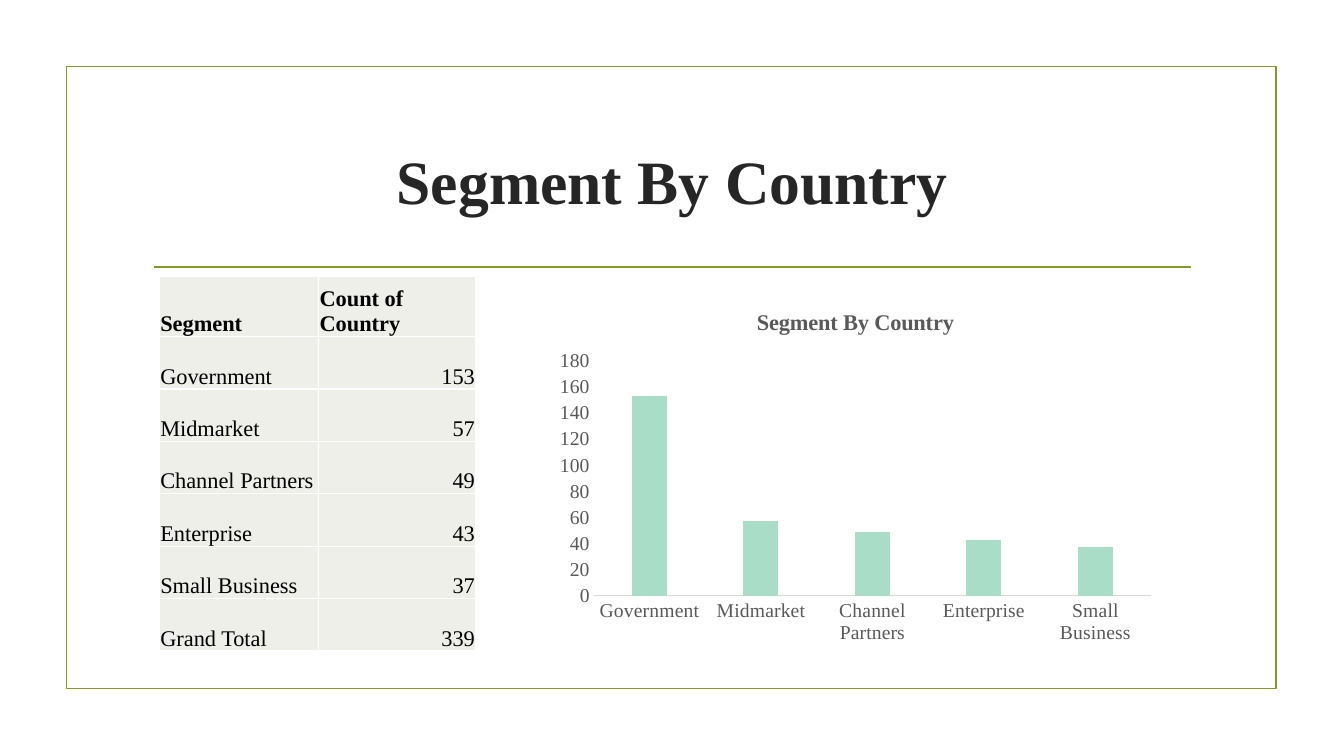
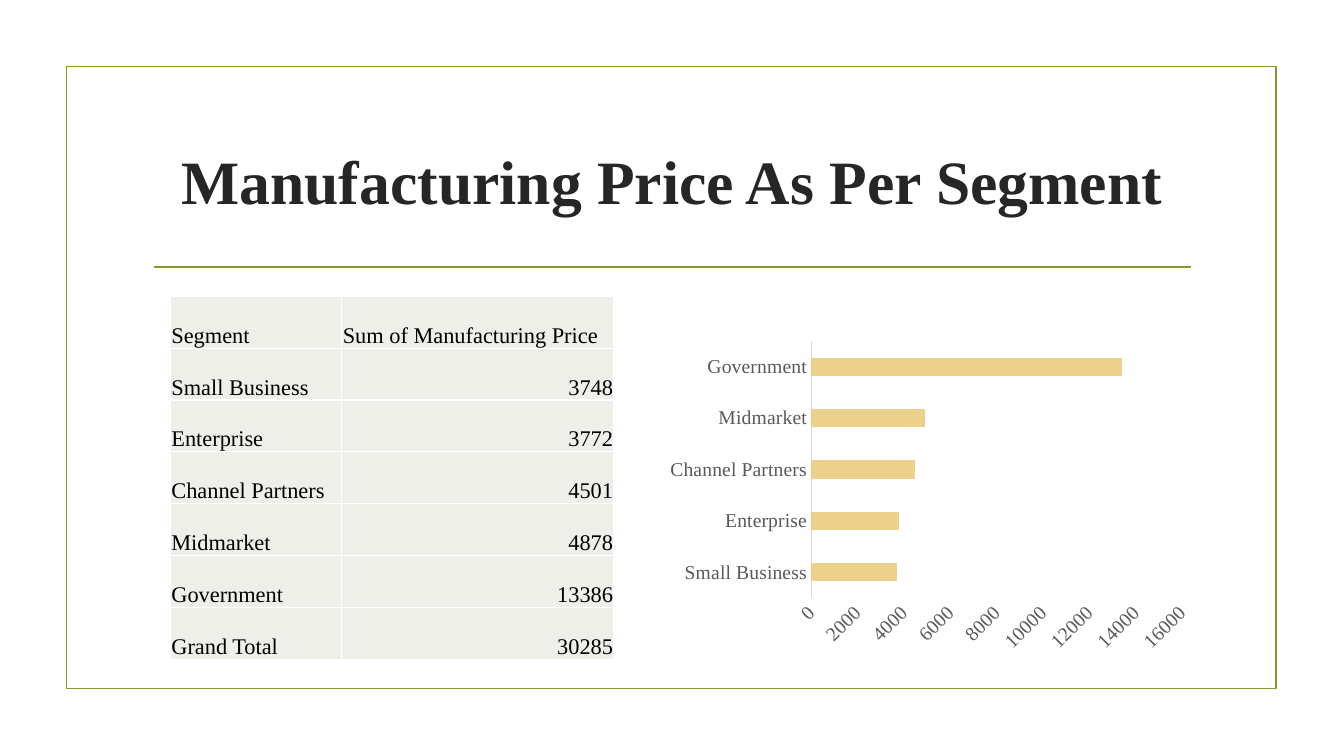
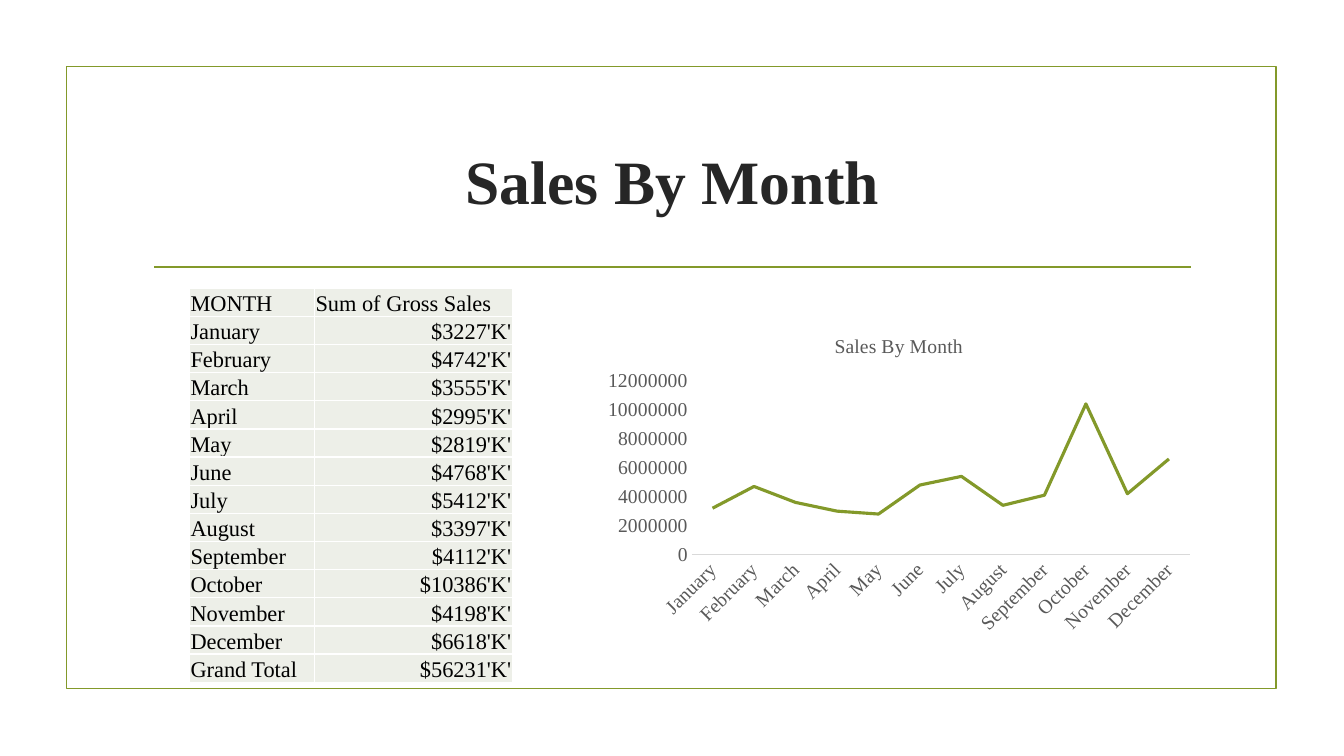
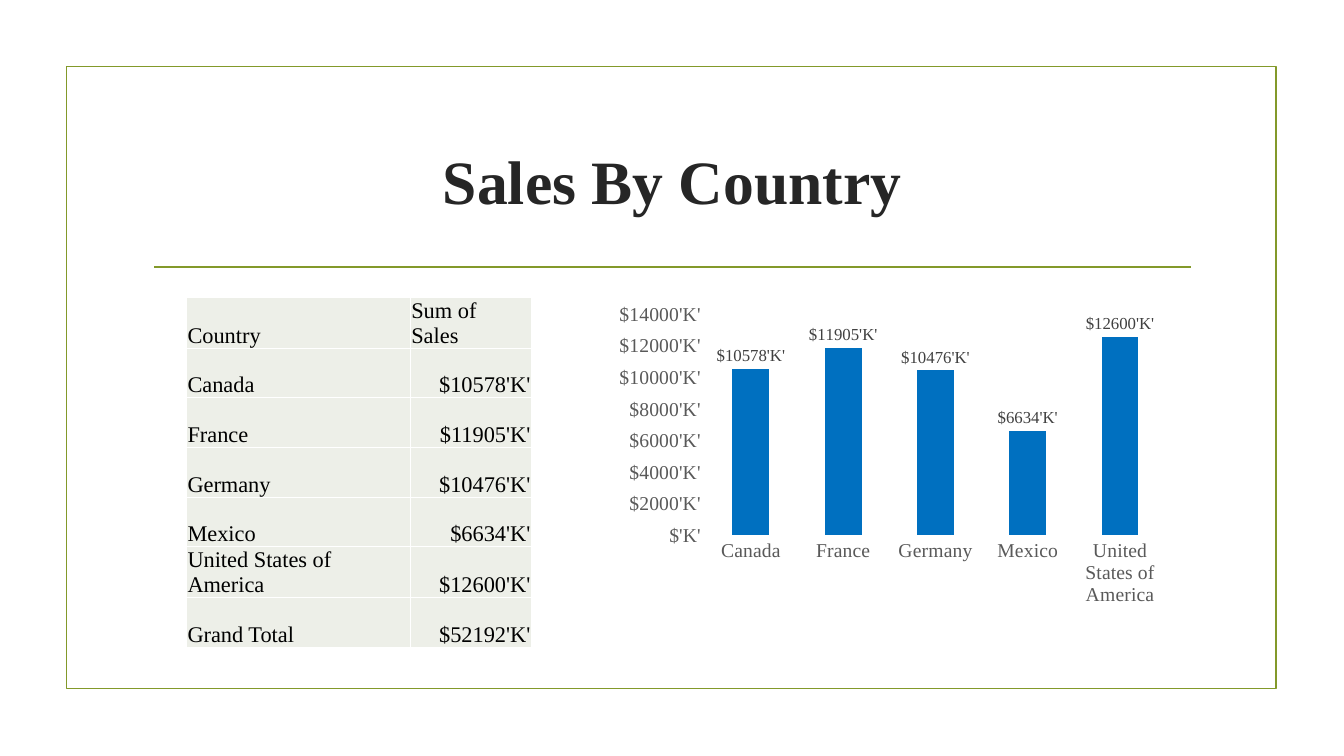
from lxml.etree import SubElement
from pptx import Presentation
from pptx.chart.data import CategoryChartData
from pptx.dml.color import RGBColor
from pptx.enum.chart import XL_CHART_TYPE, XL_LABEL_POSITION, XL_TICK_MARK
from pptx.enum.shapes import MSO_CONNECTOR, MSO_SHAPE, PP_PLACEHOLDER
from pptx.enum.text import MSO_ANCHOR, MSO_AUTO_SIZE, PP_ALIGN
from pptx.oxml import parse_xml
from pptx.oxml.ns import nsdecls, qn
from pptx.util import Emu, Pt

# Colours
OLIVE = RGBColor(0x83, 0x99, 0x2A)
INK = RGBColor(0x26, 0x26, 0x26)
BLACK = RGBColor(0x00, 0x00, 0x00)
WHITE = RGBColor(0xFF, 0xFF, 0xFF)
CELL_FILL = RGBColor(0xED, 0xEF, 0xE8)
AXIS_TEXT = RGBColor(0x59, 0x59, 0x59)
AXIS_LINE = RGBColor(0xD9, 0xD9, 0xD9)
LABEL_TEXT = RGBColor(0x40, 0x40, 0x40)
MINT = RGBColor(0xA9, 0xDD, 0xC7)
SAND = RGBColor(0xEB, 0xD1, 0x8C)
BLUE = RGBColor(0x00, 0x70, 0xC0)

# Other style
FONT = "Times New Roman"
EMU_PER_PX = 9144  # 100 px make one inch
BORDER_SIDES = ("lnL", "lnR", "lnT", "lnB")
MONEY_FORMAT = "\"$\"#,\\'\\K\\'"

# Axis label angles, in 60000ths of a degree
AUTO_ANGLE = -60000000
SLANTED = -45 * 60000

# Data, sales in thousands
SEGMENT_COUNTS = {"Government": 153, "Midmarket": 57, "Channel Partners": 49,
                  "Enterprise": 43, "Small Business": 37}
SEGMENT_PRICES = {"Small Business": 3748, "Enterprise": 3772,
                  "Channel Partners": 4501, "Midmarket": 4878,
                  "Government": 13386}
MONTH_SALES = {"January": 3227, "February": 4742, "March": 3555,
               "April": 2995, "May": 2819, "June": 4768, "July": 5412,
               "August": 3397, "September": 4112, "October": 10386,
               "November": 4198, "December": 6618}
COUNTRY_SALES = {"Canada": 10578, "France": 11905, "Germany": 10476,
                 "Mexico": 6634, "United States of America": 12600}


def px(n):
    return Emu(round(n * EMU_PER_PX))


def box(*lengths):
    return [px(n) for n in lengths]


def money(thousands):
    return f"${thousands}'K'"


def scaled(data, factor=1, digits=0):
    """Round each value to the given digits, then multiply it."""
    return {name: round(v, digits) * factor for name, v in data.items()}


def style_font(font, size, color, bold=False):
    font.name = FONT
    font.size = Pt(size)
    font.bold = bold
    font.color.rgb = color


def style_line(line, color, width):
    line.color.rgb = color
    line.width = Pt(width)


class Deck:
    """Holds the shared style and the current slide."""

    def __init__(self):
        self.prs = Presentation()
        self.prs.slide_width, self.prs.slide_height = box(1333, 750)
        self.layout = self.prs.slide_layouts.get_by_name("Title Only")
        self.slide = None
        for ph in list(self.layout.placeholders):
            if ph.placeholder_format.type == PP_PLACEHOLDER.TITLE:
                ph.left, ph.top, ph.width, ph.height = box(142, 107, 1050, 143)
            else:
                ph.element.getparent().remove(ph.element)

    def add_slide(self, title):
        is_first = self.slide is None
        self.slide = self.prs.slides.add_slide(self.layout)
        if is_first:
            self.decorate_layout()
        tf = self.slide.shapes.title.text_frame
        tf.text = title
        tf.auto_size = MSO_AUTO_SIZE.NONE
        tf.vertical_anchor = MSO_ANCHOR.MIDDLE
        p = tf.paragraphs[0]
        p.alignment = PP_ALIGN.CENTER
        style_font(p.runs[0].font, 44, INK, bold=True)

    def decorate_layout(self):
        """Draw the frame and the title rule, then move them to the layout."""
        shapes = self.slide.shapes
        frame = shapes.add_shape(MSO_SHAPE.RECTANGLE, *box(66, 66, 1200, 617))
        frame.shadow.inherit = False
        frame.fill.background()
        rule = shapes.add_connector(MSO_CONNECTOR.STRAIGHT, *box(153, 265, 1181, 265))
        for sp in (frame, rule):
            style_line(sp.line, OLIVE, 1.25)
            self.layout.shapes.element.append(sp.element)
        SubElement(rule.element.find(qn("p:spPr")), qn("a:effectLst"))

    # Tables
    def table(self, x, y, col_widths, height, header, data, total,
              header_height=None, header_bold=False, show=str):
        """Add a header, a row for each item and a total row."""
        rows = [header]
        rows += [(name, show(v)) for name, v in data.items()]
        rows.append(("Grand Total", show(total)))
        header_height = header_height or height / len(rows)
        row_height = (height - header_height) / (len(rows) - 1)

        frame = self.slide.shapes.add_table(
            len(rows), len(header), *box(x, y, sum(col_widths), height))
        table = frame.table
        table.first_row = table.horz_banding = False
        for col, width in zip(table.columns, col_widths):
            col.width = px(width)
        for i, row in enumerate(rows):
            is_header = i == 0
            table.rows[i].height = px(header_height if is_header else row_height)
            for j, text in enumerate(row):
                is_number = j > 0 and not is_header
                self.fill_cell(table.cell(i, j), text,
                               PP_ALIGN.RIGHT if is_number else PP_ALIGN.LEFT,
                               is_header and header_bold)
        self.add_borders(frame)

    def fill_cell(self, cell, text, align, bold):
        cell.fill.solid()
        cell.fill.fore_color.rgb = CELL_FILL
        cell.margin_left = cell.margin_right = cell.margin_top = px(1)
        cell.margin_bottom = 0
        cell.vertical_anchor = MSO_ANCHOR.BOTTOM
        cell.text = text
        p = cell.text_frame.paragraphs[0]
        p.alignment = align
        for r in p.runs:
            style_font(r.font, 16, BLACK, bold)

    def add_borders(self, frame):
        """Borders must come before the fill in each cell's properties."""
        for tc_pr in frame.element.iter(qn("a:tcPr")):
            for position, side in enumerate(BORDER_SIDES):
                tc_pr.insert(position, parse_xml(
                    f'<a:{side} {nsdecls("a")} w="{Pt(1)}"><a:solidFill>'
                    f'<a:srgbClr val="{WHITE}"/></a:solidFill></a:{side}>'))

    # Charts
    def chart(self, kind, x, y, width, height, data, color,
              category_angle=AUTO_ANGLE, value_angle=AUTO_ANGLE):
        chart_data = CategoryChartData()
        chart_data.categories = data.keys()
        chart_data.add_series("Series 1", data.values())
        chart = self.slide.shapes.add_chart(
            kind, *box(x, y, width, height), chart_data).chart
        style_font(chart.font, 10, BLACK)
        chart.has_legend = chart.has_title = False
        chart.plots[0].vary_by_categories = False
        self.style_series(chart.plots[0].series[0], kind, color)
        for axis in (chart.category_axis, chart.value_axis):
            axis.has_major_gridlines = False
            axis.major_tick_mark = axis.minor_tick_mark = XL_TICK_MARK.NONE
            axis.format.line.fill.background()
            style_font(axis.tick_labels.font, 14, AXIS_TEXT)
        style_line(chart.category_axis.format.line, AXIS_LINE, 0.75)
        self.turn_labels(chart, "c:catAx", category_angle)
        self.turn_labels(chart, "c:valAx", value_angle)
        return chart

    def style_series(self, series, kind, color):
        if kind == XL_CHART_TYPE.LINE:
            series.smooth = False
            style_line(series.format.line, color, 2.25)
        else:
            series.format.fill.solid()
            series.format.fill.fore_color.rgb = color

    def turn_labels(self, chart, axis_tag, angle):
        axis = next(chart.element.iter(qn(axis_tag)))
        body = axis.find(qn("c:txPr")).find(qn("a:bodyPr"))
        body.set("rot", str(angle))
        body.set("vert", "horz")

    def chart_title(self, chart, text, size, bold=False):
        tf = chart.chart_title.text_frame
        tf.text = text
        style_font(tf.paragraphs[0].runs[0].font, size, AXIS_TEXT, bold)

    def money_labels(self, chart):
        """Label the bars, and show them and the value axis as money."""
        plot = chart.plots[0]
        plot.has_data_labels = True
        labels = plot.data_labels
        labels.show_value = True
        labels.position = XL_LABEL_POSITION.OUTSIDE_END
        style_font(labels.font, 12, LABEL_TEXT)
        for numbers in (labels, chart.value_axis.tick_labels):
            numbers.number_format = MONEY_FORMAT
            numbers.number_format_is_linked = False


def segment_by_country(deck):
    deck.add_slide("Segment By Country")
    deck.table(158, 274, (158, 156), 372, ("Segment", "Count of Country"),
               SEGMENT_COUNTS, 339, header_height=60, header_bold=True)
    chart = deck.chart(XL_CHART_TYPE.COLUMN_CLUSTERED, 543, 289, 611, 357,
                       SEGMENT_COUNTS, MINT)
    deck.chart_title(chart, "Segment By Country", 16, bold=True)
    chart.plots[0].gap_width = 219
    chart.plots[0].overlap = -27


def price_by_segment(deck):
    deck.add_slide("Manufacturing Price As Per Segment")
    deck.table(169, 294, (170, 270), 360,
               ("Segment", "Sum of Manufacturing Price"), SEGMENT_PRICES, 30285)
    chart = deck.chart(XL_CHART_TYPE.BAR_CLUSTERED, 654, 332, 537, 322,
                       scaled(SEGMENT_PRICES, digits=-2), SAND,
                       value_angle=SLANTED)
    chart.plots[0].gap_width = 182


def sales_by_month(deck):
    deck.add_slide("Sales By Month")
    deck.table(188, 286, (124, 196), 391, ("MONTH", "Sum of Gross Sales"),
               MONTH_SALES, 56231, show=money)
    chart = deck.chart(XL_CHART_TYPE.LINE, 591, 315, 601, 321,
                       scaled(MONTH_SALES, factor=1000, digits=-2), OLIVE,
                       category_angle=SLANTED)
    deck.chart_title(chart, "Sales By Month", 14)


def sales_by_country(deck):
    deck.add_slide("Sales By Country")
    deck.table(185, 295, (222, 120), 345, ("Country", "Sum of\vSales"),
               COUNTRY_SALES, 52192, show=money)
    chart = deck.chart(XL_CHART_TYPE.COLUMN_CLUSTERED, 603, 295, 565, 312,
                       scaled(COUNTRY_SALES, factor=1000), BLUE)
    chart.plots[0].gap_width = 150
    chart.category_axis.format.line.fill.background()
    style_line(chart.value_axis.major_gridlines.format.line, WHITE, 0.75)
    deck.money_labels(chart)


def main():
    deck = Deck()
    for build in (segment_by_country, price_by_segment,
                  sales_by_month, sales_by_country):
        build(deck)
    deck.prs.save("out.pptx")


if __name__ == "__main__":
    main()
